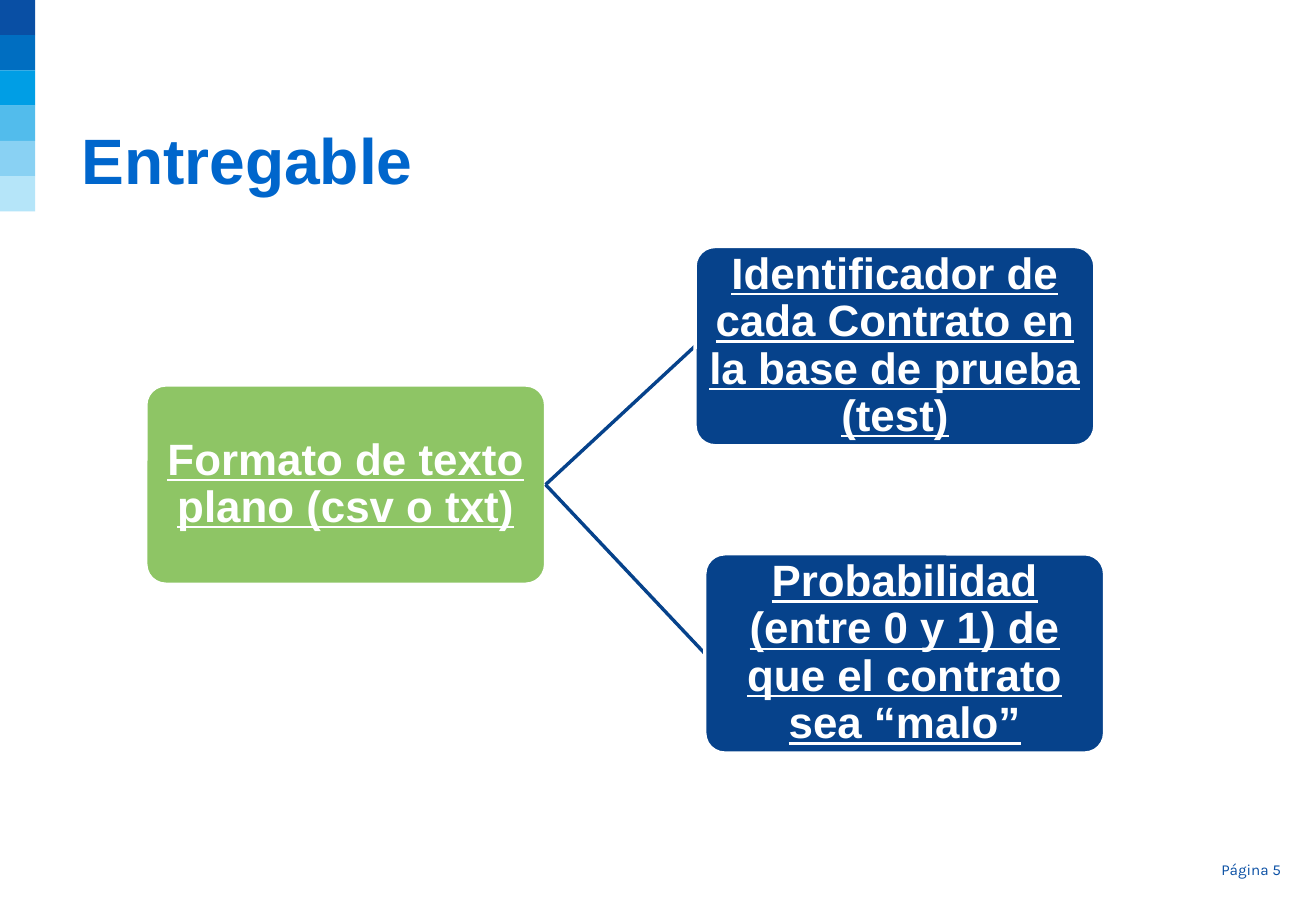
from pptx import Presentation
from pptx.dml.color import RGBColor
from pptx.enum.shapes import MSO_CONNECTOR as Link, MSO_SHAPE as Kind
from pptx.enum.text import MSO_ANCHOR as Anchor, PP_ALIGN as Align
from pptx.oxml.ns import qn
from pptx.util import Inches, Pt
from lxml.etree import SubElement

WHITE, NAVY, GREEN = "FFFFFF", "06428B", "8EC565"
BLUES = ["094FA4", "006EC1", "009EE5", "52BCEC", "89D1F3", "B5E5F9"]
WIDE, HIGH = 3.29, 1.64


def tint(part, color):
    """Give a fill, line or font part a solid colour."""
    if hasattr(part, "solid"):
        part.solid()
        part.fore_color.rgb = RGBColor.from_string(color)
    else:
        part.color.rgb = RGBColor.from_string(color)


def write(shape, text, size, color, face="Arial", bold=True, line=False,
          align=Align.LEFT, inset=None):
    """Put one wrapped run of text in a shape."""
    frame = shape.text_frame
    frame.word_wrap = True
    if inset is not None:
        frame.margin_left = frame.margin_right = Inches(inset)
        frame.margin_top = frame.margin_bottom = Inches(inset)
    para = frame.paragraphs[0]
    para.alignment = align
    run = para.add_run()
    run.text = text
    font = run.font
    font.name, font.size, font.bold, font.underline = face, Pt(size), bold, line
    tint(font, color)
    return para


def add_box(slide, kind, box, color):
    """Add a flat filled shape without an outline."""
    shape = slide.shapes.add_shape(kind, *map(Inches, box))
    shape.shadow.inherit = False
    tint(shape.fill, color)
    shape.line.fill.background()
    return shape


def add_strip(slide, left, top, side):
    """Stack the blue squares downward from a corner."""
    for row, color in enumerate(BLUES):
        add_box(slide, Kind.RECTANGLE, (left, top + row * side, side, side), color)


def add_text(slide, box, *args, **style):
    """Add a text box with one run."""
    shape = slide.shapes.add_textbox(*map(Inches, box))
    write(shape, *args, **style)


def add_node(slide, left, top, text, color):
    """Add a rounded box of the tree with its label."""
    node = add_box(slide, Kind.ROUNDED_RECTANGLE, (left, top, WIDE, HIGH), color)
    node.adjustments[0] = 0.1
    tint(node.line, WHITE)
    node.line.width = Pt(2)
    node.text_frame.vertical_anchor = Anchor.MIDDLE
    para = write(node, text, 26, WHITE, line=True, align=Align.CENTER, inset=0.02)
    para.line_spacing = 0.9


def add_link(slide, start, end):
    """Join the right side of one node to the left side of another."""
    ends = (start[0] + WIDE, start[1] + HIGH / 2, end[0], end[1] + HIGH / 2)
    link = slide.shapes.add_connector(Link.STRAIGHT, *map(Inches, ends))
    tint(link.line, NAVY)
    link.line.width = Pt(2)
    SubElement(link._element.spPr, qn("a:effectLst"))


def add_tree(slide, left, top):
    """Draw the root node and its two branches from a corner."""
    root = (left, top + 1.14)
    leaves = [
        (left + 4.52, top, "Identificador de cada Contrato en la base de prueba (test)"),
        (left + 4.6, top + 2.53, "Probabilidad (entre 0 y 1) de que el contrato sea “malo”"),
    ]
    add_node(slide, *root, "Formato de texto plano (csv o txt)", GREEN)
    for x, y, text in leaves:
        add_link(slide, root, (x, y))
        add_node(slide, x, y, text, NAVY)


def main():
    """Build and save the slide."""
    deck = Presentation()
    deck.slide_width, deck.slide_height = Inches(10.83), Inches(7.5)
    slide = deck.slides.add_slide(deck.slide_layouts[6])
    add_strip(slide, 0, 0, 0.29)
    add_text(slide, (9.59, 7.08, 0.95, 0.15), "Página 5", 9, BLUES[0],
             face="Karla", bold=False, align=Align.RIGHT, inset=0)
    add_text(slide, (0.57, 0.94, 9.22, 0.74), "Entregable", 38, "0066CC")
    add_tree(slide, 1.2, 2.03)
    deck.save("out.pptx")


main()
